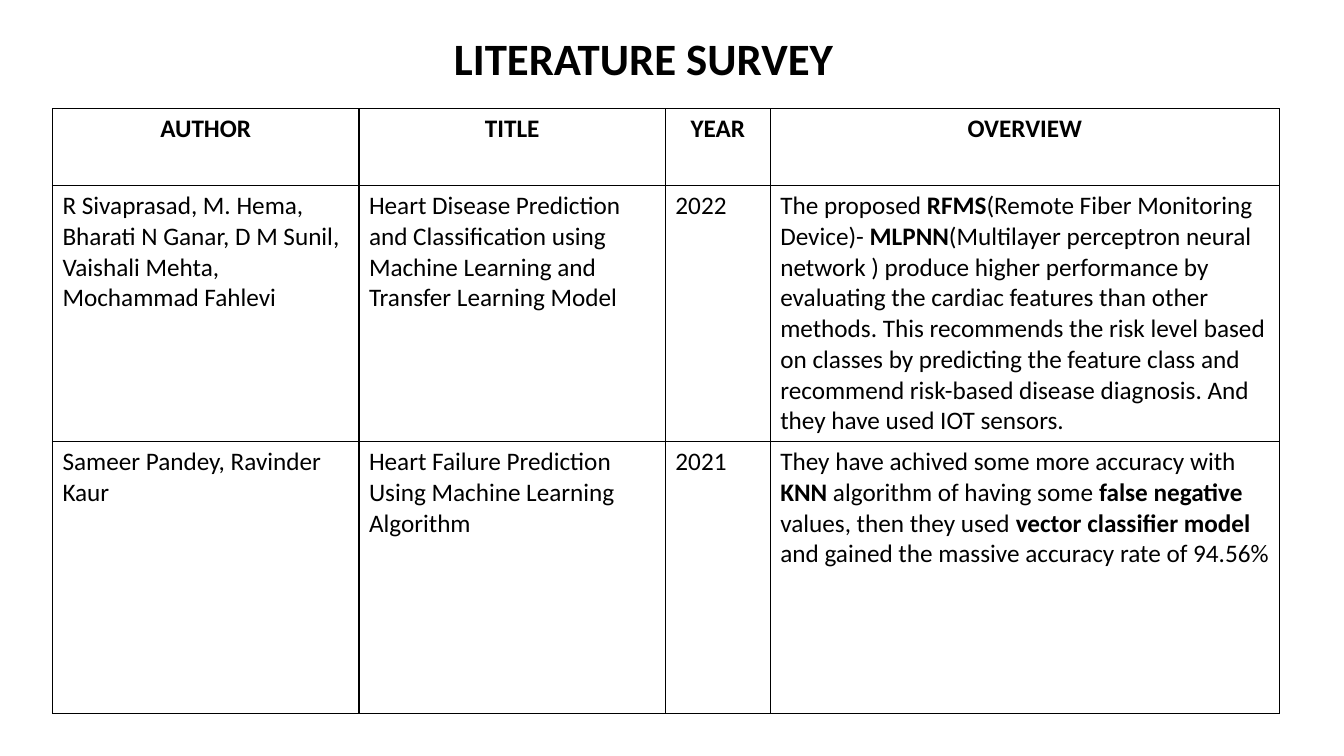
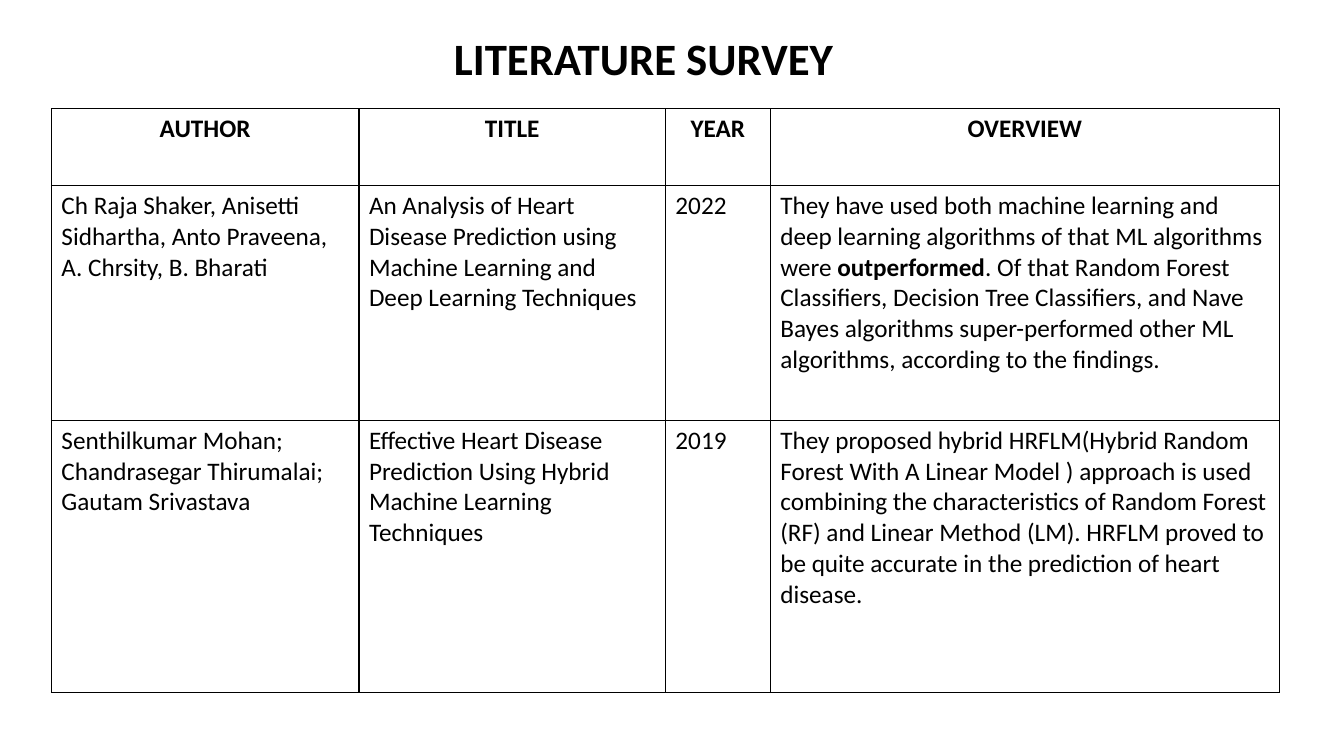
from dataclasses import dataclass

from lxml import etree
from pptx import Presentation
from pptx.dml.color import RGBColor
from pptx.enum import text
from pptx.oxml import ns
from pptx.util import Inches, Pt


@dataclass(frozen=True)
class Theme:
    font: str = "Calibri"
    ink: str = "000000"
    paper: str = "FFFFFF"
    head: int = 32
    body: int = 18
    rule: int = 1


THEME = Theme()
TITLE = " LITERATURE SURVEY"
HEADS = ["AUTHOR", "TITLE", "YEAR", "OVERVIEW"]
SPANS = [3.04, 1.04, 5.05]
ROWS = [0.76, 2.33, 2.7]
TOP, RIGHT = 1.08, 12.69

SURVEYS = [
    (0.52, [
        ["R Sivaprasad, M. Hema, Bharati N Ganar, D M Sunil, Vaishali Mehta, Mochammad Fahlevi",
         "Heart Disease Prediction and Classification using Machine Learning and Transfer Learning Model",
         "2022",
         "The proposed **RFMS**(Remote Fiber Monitoring Device)- **MLPNN**(Multilayer "
         "perceptron neural network ) produce higher performance by evaluating the cardiac "
         "features than other methods. This recommends the risk level based on classes by "
         "predicting the feature class and recommend risk-based disease diagnosis. And they "
         "have used IOT sensors."],
        ["Sameer Pandey, Ravinder Kaur",
         "Heart Failure Prediction Using Machine Learning Algorithm",
         "2021",
         "They have achived some more accuracy with **KNN** algorithm of having some "
         "**false negative **values, then they used** vector classifier model **and gained "
         "the massive accuracy rate of 94.56%"],
    ]),
    (0.51, [
        ["Ch Raja Shaker, Anisetti Sidhartha, Anto Praveena, A. Chrsity, B. Bharati",
         "An Analysis of Heart Disease Prediction using Machine Learning and Deep Learning Techniques",
         "2022",
         "They have used both machine learning and deep learning algorithms of that ML "
         "algorithms were **outperformed**. Of that Random Forest Classifiers, Decision Tree "
         "Classifiers, and Nave Bayes algorithms super-performed other ML algorithms, "
         "according to the findings."],
        ["Senthilkumar Mohan;\nChandrasegar Thirumalai;\nGautam Srivastava",
         "Effective Heart Disease Prediction Using Hybrid Machine Learning Techniques",
         "2019",
         "They proposed hybrid HRFLM(Hybrid Random Forest With A Linear Model ) approach is "
         "used combining the characteristics of Random Forest (RF) and Linear Method (LM). "
         "HRFLM proved to be quite accurate in the prediction of heart disease."],
    ]),
]


def style(run, size, bold):
    run.font.name = THEME.font
    run.font.size = Pt(size)
    run.font.bold = bold
    run.font.color.rgb = RGBColor.from_string(THEME.ink)


def add_title(slide, box):
    title = slide.shapes.title
    title.left, title.top, title.width, title.height = map(Inches, box)
    frame = title.text_frame
    frame.text = TITLE
    frame.vertical_anchor = text.MSO_ANCHOR.TOP
    frame.paragraphs[0].alignment = text.PP_ALIGN.CENTER
    style(frame.paragraphs[0].runs[0], THEME.head, True)


def add_borders(cell):
    props = cell._tc.get_or_add_tcPr()
    for spot, side in enumerate(["lnL", "lnR", "lnT", "lnB"]):
        line = etree.Element(ns.qn("a:" + side), w=str(Pt(THEME.rule)))
        fill = etree.SubElement(line, ns.qn("a:solidFill"))
        etree.SubElement(fill, ns.qn("a:srgbClr"), val=THEME.ink)
        props.insert(spot, line)


def fill_cell(cell, words, head):
    cell.fill.solid()
    cell.fill.fore_color.rgb = RGBColor.from_string(THEME.paper)
    add_borders(cell)
    frame = cell.text_frame
    frame.text = words.replace("**", "")
    for para, line in zip(frame.paragraphs, words.split("\n")):
        para.alignment = text.PP_ALIGN.CENTER if head else text.PP_ALIGN.LEFT
        para.clear()
        for index, part in enumerate(line.split("**")):
            run = para.add_run()
            run.text = part
            style(run, THEME.body, head or index % 2 == 1)


def add_survey(slide, box, papers):
    rows = [HEADS] + papers
    grid = slide.shapes.add_table(len(rows), len(HEADS), *map(Inches, box)).table
    grid.first_row = grid.horz_banding = False
    widths = [box[2] - sum(SPANS)] + SPANS
    for column, width in zip(grid.columns, widths):
        column.width = Inches(width)
    for y, (row, height) in enumerate(zip(rows, ROWS)):
        grid.rows[y].height = Inches(height)
        for x, words in enumerate(row):
            fill_cell(grid.cell(y, x), words, y == 0)


def add_page(deck, left, papers):
    slide = deck.slides.add_slide(deck.slide_layouts[5])
    add_title(slide, (3, 0.25, 6.67, 0.64))
    add_survey(slide, (left, TOP, RIGHT - left, sum(ROWS)), papers)


def main():
    deck = Presentation()
    deck.slide_width, deck.slide_height = Inches(13.33), Inches(7.5)
    for left, papers in SURVEYS:
        add_page(deck, left, papers)
    deck.save("out.pptx")


if __name__ == "__main__":
    main()
